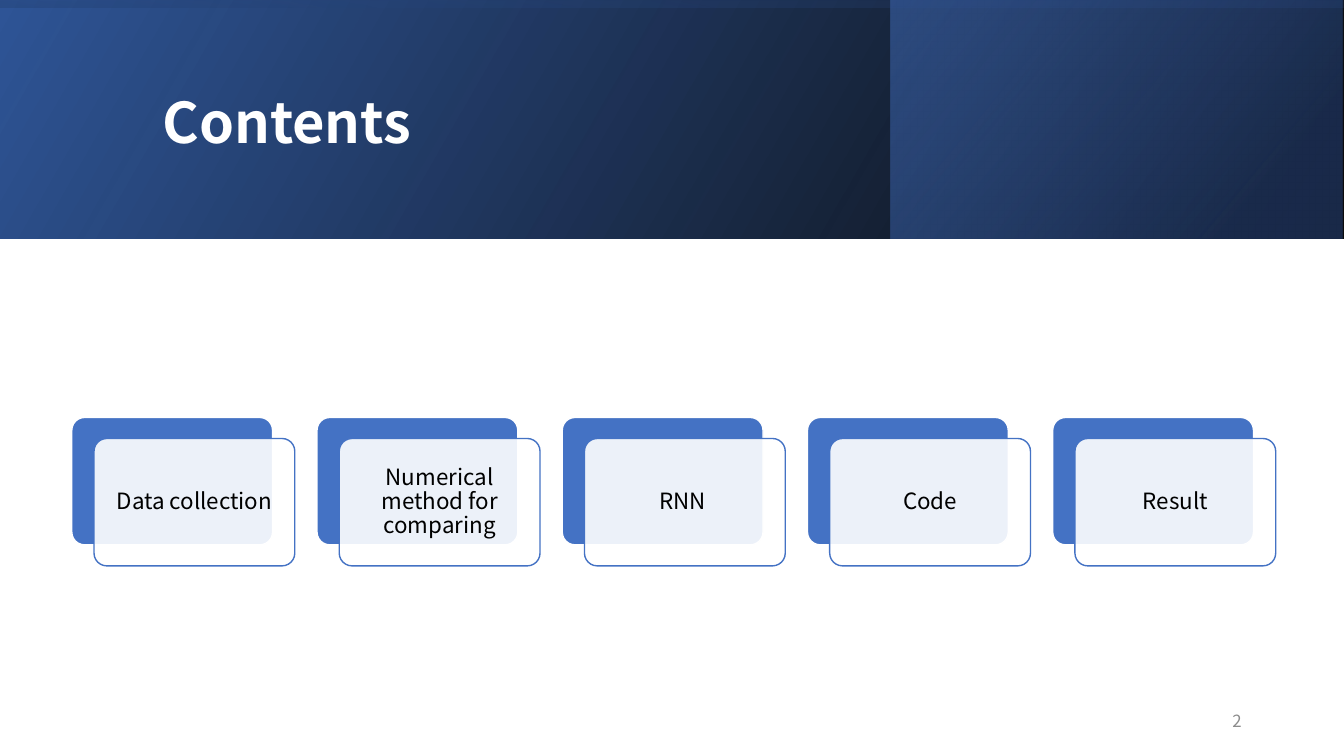
import pptx
import pptx.util
import pptx.dml.color
import pptx.enum.shapes
import pptx.enum.text
import pptx.oxml.ns
import lxml.etree

Cm = pptx.util.Cm
Pt = pptx.util.Pt
RGB = pptx.dml.color.RGBColor.from_string
Align = pptx.enum.text.PP_ALIGN
Preset = pptx.enum.shapes.MSO_SHAPE
qn = pptx.oxml.ns.qn

COLORS = {
    "white": "FFFFFF",
    "black": "000000",
    "navy": "203864",
    "deep": "2F5597",
    "blue": "4472C4",
    "grey": "8C8C8C",
}


def write(frame, text, size=16, color="black", bold=False, align=Align.LEFT,
          spacing=1.0, after=0, inset=None):
    frame.word_wrap = True
    frame.auto_size = pptx.enum.text.MSO_AUTO_SIZE.NONE
    frame.vertical_anchor = pptx.enum.text.MSO_ANCHOR.MIDDLE
    if inset is not None:
        frame.margin_left = frame.margin_right = inset
        frame.margin_top = frame.margin_bottom = inset
    frame.text = text
    paragraph = frame.paragraphs[0]
    paragraph.alignment = align
    paragraph.line_spacing = spacing
    paragraph.space_before = Pt(0)
    paragraph.space_after = Pt(after)
    paragraph.font.name = "Noto Sans CJK KR"
    paragraph.font.size = Pt(size)
    paragraph.font.bold = bold
    paragraph.font.color.rgb = RGB(COLORS[color])


def set_opacity(shape, *percents):
    colors = shape.element.spPr.iter(qn("a:srgbClr"))
    for color, percent in zip(colors, percents):
        lxml.etree.SubElement(color, qn("a:alpha")).set("val", str(percent * 1000))


deck = pptx.Presentation()
deck.slide_width = Cm(33.87)
deck.slide_height = Cm(19.05)
slide = deck.slides.add_slide(deck.slide_layouts[5])

banner_layers = [
    (0, 0, 33.87, 6.02, 0, 30, [(0, "black", 96), (1, "deep", 100)]),
    (22.45, 0, 11.39, 6.02, 0, 40, [(0.19, "navy", 68), (1, "blue", 48)]),
    (13.92, -13.92, 6.02, 33.87, 270, 10, [(0.23, "deep", 16), (0.99, "black", 45)]),
]
for left, top, width, height, rotation, angle, stops in banner_layers:
    banner = slide.shapes.add_shape(
        Preset.RECTANGLE, Cm(left), Cm(top), Cm(width), Cm(height))
    banner.shadow.inherit = False
    banner.line.fill.background()
    banner.rotation = rotation
    banner.element.spPr.find(qn("a:xfrm")).set("flipH", "1")
    banner.fill.gradient()
    banner.fill.gradient_angle = angle
    for gradient_stop, (position, color, opacity) in zip(banner.fill.gradient_stops, stops):
        gradient_stop.position = position
        gradient_stop.color.rgb = RGB(COLORS[color])
    set_opacity(banner, *[opacity for position, color, opacity in stops])

heading = slide.shapes.title
heading.left, heading.top = Cm(3.84), Cm(0.97)
heading.width, heading.height = Cm(27), Cm(4.37)
write(heading.text_frame, "Contents", size=40, color="white", bold=True,
      spacing=0.9, after=6)
heading.element.getparent().append(heading.element)

topics = ["Data collection", "Numerical method for comparing", "RNN ", "Code", "Result"]
card_pitch = 6.18
agenda = slide.shapes.add_group_shape()
for index, topic in enumerate(topics):
    card_left = 1.81 + index * card_pitch
    for left, top, fill, outline in [
        (card_left, 10.52, "blue", "white"),
        (card_left + 0.56, 11.05, "white", "blue"),
    ]:
        card = agenda.shapes.add_shape(
            Preset.ROUNDED_RECTANGLE, Cm(left), Cm(top), Cm(5.06), Cm(3.21))
        card.adjustments[0] = 0.1
        card.shadow.inherit = False
        card.fill.solid()
        card.fill.fore_color.rgb = RGB(COLORS[fill])
        card.line.color.rgb = RGB(COLORS[outline])
        card.line.width = Pt(1)
    set_opacity(card, 90)
    write(card.text_frame, topic, align=Align.CENTER, spacing=0.9, inset=Cm(0.17))

page_number = slide.shapes.add_textbox(Cm(23.92), Cm(17.66), Cm(7.62), Cm(1.01))
write(page_number.text_frame, "2", size=12, color="grey", align=Align.RIGHT)

deck.save("out.pptx")
